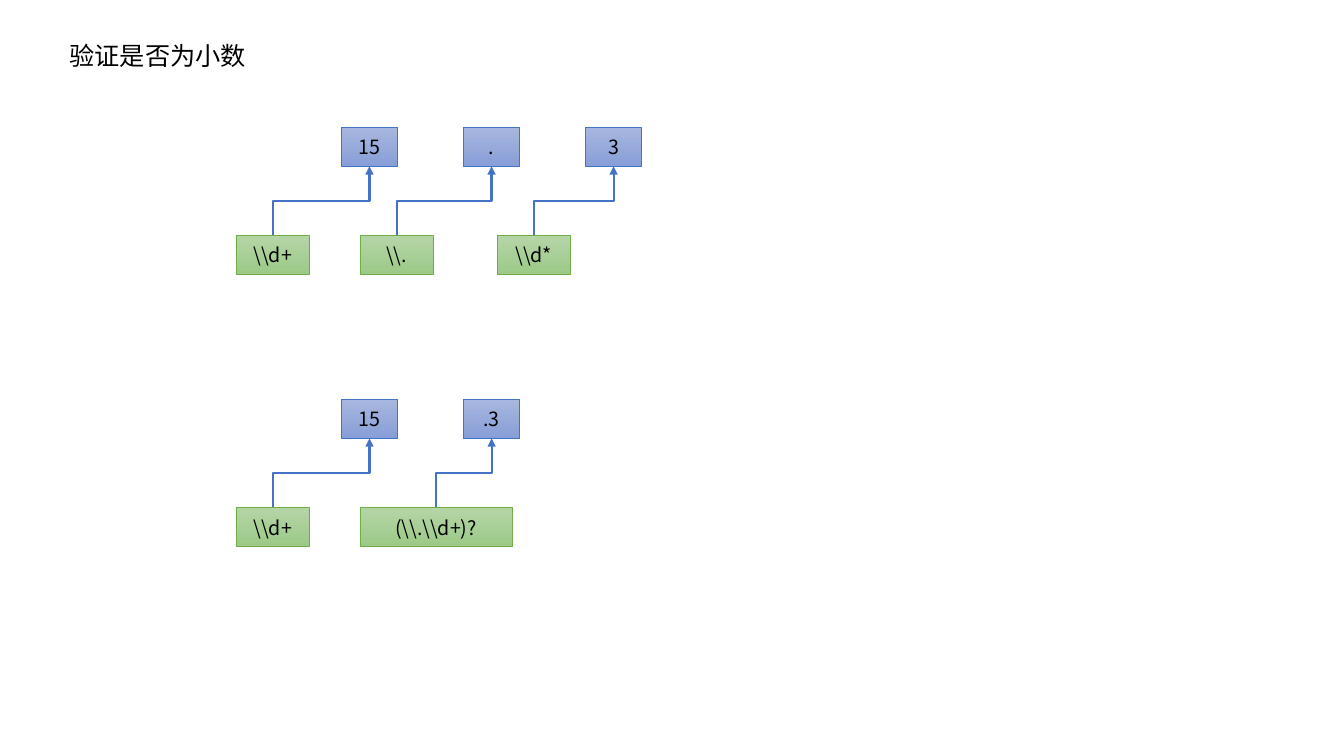
"""Build a slide that matches parts of a decimal number to regular expressions."""
from dataclasses import dataclass
from lxml.etree import SubElement
from pptx import Presentation
from pptx.dml.color import RGBColor
from pptx.enum.shapes import MSO_CONNECTOR, MSO_SHAPE
from pptx.enum.text import MSO_ANCHOR, PP_ALIGN
from pptx.oxml.ns import qn
from pptx.util import Inches, Pt


@dataclass(frozen=True)
class Theme:
    font: str = "Noto Sans CJK SC"
    title_size: int = 18
    box_size: int = 14
    text: str = "000000"
    arrow: str = "4472C4"
    value: tuple = ("A8B7DF", "889ED7", "4472C4")
    pattern: tuple = ("B5D5A7", "9CC987", "70AD47")


THEME = Theme()
TITLE = "验证是否为小数"
DIAGRAMS = [
    (1.26, [("15", r"\\d+", 2.34, 0.73),
            (".", r"\\.", 3.57, 0.73),
            ("3", r"\\d*", 4.93, 0.73)]),
    (3.96, [("15", r"\\d+", 2.34, 0.73),
            (".3", r"(\\.\\d+)?", 3.57, 1.51)]),
]
VALUE_LEFT, VALUE_STEP, VALUE_WIDTH = 3.39, 1.21, 0.55
BOX_HEIGHT, PATTERN_DROP = 0.39, 1.075


def style_text(tf, size, align):
    tf.vertical_anchor = MSO_ANCHOR.MIDDLE
    p = tf.paragraphs[0]
    p.alignment = align
    for r in p.runs:
        r.font.size = Pt(size)
        r.font.name = THEME.font
        r.font.color.rgb = RGBColor.from_string(THEME.text)
        SubElement(r.font._element, qn("a:ea"), typeface=THEME.font)


def add_box(s, text, left, top, width, colors):
    sp = s.shapes.add_shape(MSO_SHAPE.RECTANGLE, Inches(left), Inches(top),
                            Inches(width), Inches(BOX_HEIGHT))
    sp.shadow.inherit = False
    start, end, line = map(RGBColor.from_string, colors)
    sp.fill.gradient()
    sp.fill.gradient_angle = 270
    for stop, color in zip(sp.fill.gradient_stops, (start, end)):
        stop.color.rgb = color
    sp.line.color.rgb = line
    sp.line.width = Pt(0.5)
    sp.text_frame.text = text
    sp.text_frame.word_wrap = False
    style_text(sp.text_frame, THEME.box_size, PP_ALIGN.CENTER)
    return sp


def add_arrow(s, pattern, value):
    x1, y1 = pattern.left + pattern.width // 2, pattern.top
    x2, y2 = value.left + value.width // 2, value.top + value.height
    mid_x, mid_y = (x1 + x2) // 2, (y1 + y2) // 2
    half_rise, half_run = (y1 - y2) // 2, (x2 - x1) // 2
    c = s.shapes.add_connector(MSO_CONNECTOR.ELBOW,
                               mid_x + half_rise, mid_y + half_run,
                               mid_x - half_rise, mid_y - half_run)
    c.rotation = 90
    c.line.color.rgb = RGBColor.from_string(THEME.arrow)
    c.line.width = Pt(1.5)
    SubElement(c.line._get_or_add_ln(), qn("a:tailEnd"), type="triangle")
    SubElement(c._element.spPr, qn("a:effectLst"))


prs = Presentation()
prs.slide_width, prs.slide_height = Inches(13.33), Inches(7.5)
s = prs.slides.add_slide(prs.slide_layouts[5])

title = s.shapes.title
title.left, title.top = Inches(0.59), Inches(0.35)
title.width, title.height = Inches(1.97), Inches(0.4)
title.text_frame.text = TITLE
title.text_frame.word_wrap = False
style_text(title.text_frame, THEME.title_size, PP_ALIGN.LEFT)

for top, pairs in DIAGRAMS:
    for i, (number, regex, left, width) in enumerate(pairs):
        value = add_box(s, number, VALUE_LEFT + i * VALUE_STEP, top,
                        VALUE_WIDTH, THEME.value)
        pattern = add_box(s, regex, left, top + PATTERN_DROP, width,
                          THEME.pattern)
        add_arrow(s, pattern, value)

prs.save("out.pptx")
